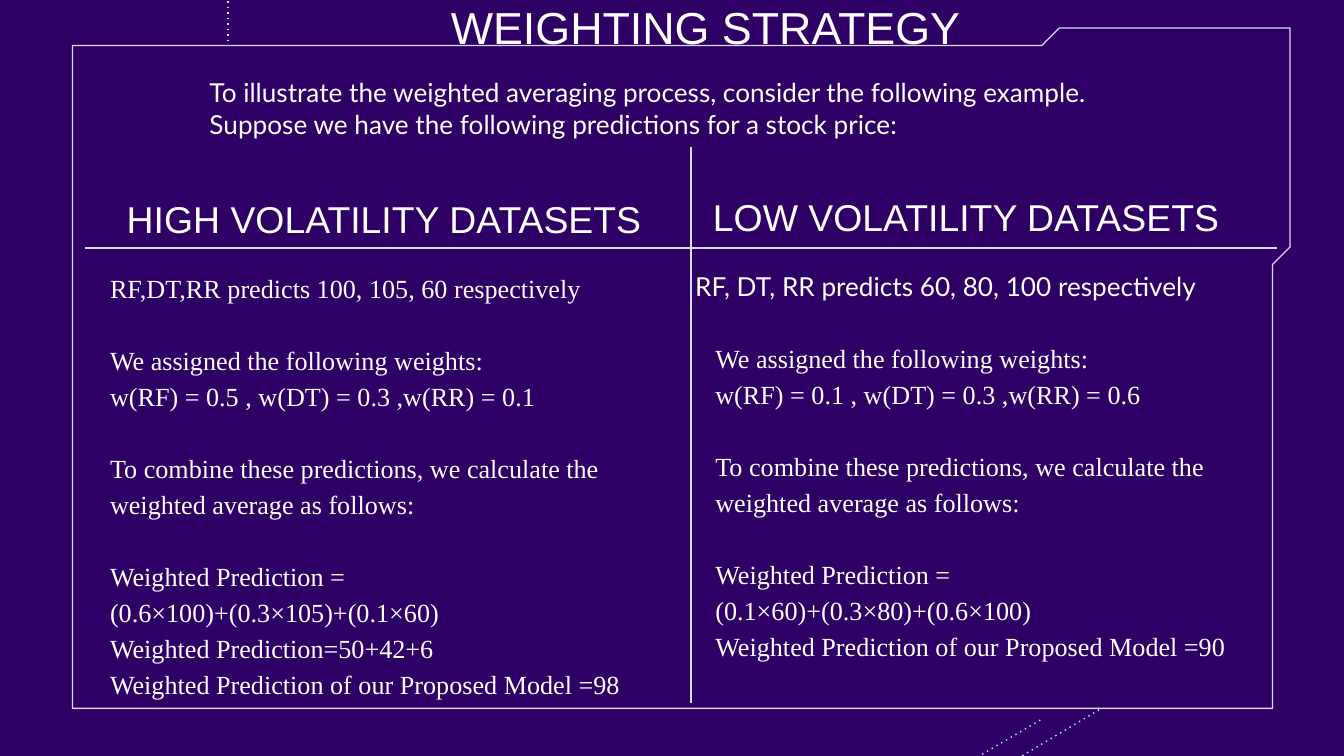
from lxml import etree
from pptx import Presentation
from pptx.dml.color import RGBColor
from pptx.enum.shapes import MSO_CONNECTOR
from pptx.enum.text import MSO_ANCHOR, PP_ALIGN
from pptx.oxml.ns import qn
from pptx.util import Cm, Pt

STRAIGHT = MSO_CONNECTOR.STRAIGHT
TOP, BOTTOM = MSO_ANCHOR.TOP, MSO_ANCHOR.BOTTOM
LEFT, CENTER = PP_ALIGN.LEFT, PP_ALIGN.CENTER

PURPLE, LILAC, WHITE = "2E0065", "DBDBF0", "FFFFFF"
SERIF, SANS, HEADING = "Times New Roman", "Lato", "Arial"
INDENT, GROUP_GAP, SPACING = 0.38, 19.3, 1.15

# All places are in centimetres: left, top, width, height.
TITLE = ("WEIGHTING STRATEGY ", (2.74, -0.41, 21.41, 1.6))
INTRO = ("To illustrate the weighted averaging process, consider the following example. "
         "Suppose we have the following predictions for a stock price:",
         (3.71, 1.32, 17.37, 1.45))
COMBINE = "To combine these predictions, we calculate the weighted average as follows:"
ASSIGNED = "We assigned the following weights:"

# The lines of a column come in groups with a gap of one line between them.
COLUMNS = [
    {
        "heading": "HIGH VOLATILITY DATASETS",
        "heading_box": (1.42, 3.2, 11.68, 1.6),
        "body_box": (1.45, 4.81, 11.6, 7.59),
        "lead_format": {"font": SERIF, "indent": INDENT},
        "groups": [
            ["RF,DT,RR predicts 100, 105, 60 respectively"],
            [ASSIGNED, "w(RF) = 0.5 , w(DT) = 0.3 ,w(RR) = 0.1"],
            [COMBINE],
            ["Weighted Prediction = (0.6×100)+(0.3×105)+(0.1×60)",
             "Weighted Prediction=50+42+6",
             "Weighted Prediction of our Proposed Model =98"],
        ],
    },
    {
        "heading": "LOW VOLATILITY DATASETS",
        "heading_box": (13.13, 3.75, 10.26, 1.02),
        "body_box": (12.89, 4.77, 11, 7.59),
        "lead_format": {"font": SANS, "indent": 0},
        "groups": [
            ["RF, DT, RR predicts 60, 80, 100 respectively"],
            [ASSIGNED, "w(RF) = 0.1 , w(DT) = 0.3 ,w(RR) = 0.6"],
            [COMBINE],
            ["Weighted Prediction = (0.1×60)+(0.3×80)+(0.6×100)",
             "Weighted Prediction of our Proposed Model =90"],
        ],
    },
]

FRAME = [(20.02, 0.53), (19.69, 0.86), (1.37, 0.86), (1.37, 13.39),
         (24.05, 13.39), (24.05, 5), (24.38, 4.67), (24.38, 0.53)]
DOTTED_LINES = [(4.31, -1.85, 4.31, 2.67), (19.66, 13.61, 17.93, 14.63),
                (22.02, 12.67, 18.14, 14.99)]
DIVIDERS = [(13.06, 2.77, 13.06, 13.28), (24.13, 4.69, 1.6, 4.69)]


def rgb(color):
    return RGBColor.from_string(color)


def style_line(line):
    line.color.rgb = rgb(LILAC)
    line.width = Pt(0.75)


def add_line(slide, ends, dotted=False):
    connector = slide.shapes.add_connector(STRAIGHT, *map(Cm, ends))
    style_line(connector.line)
    properties = connector._element.spPr
    if dotted:
        etree.SubElement(properties.find(qn("a:ln")), qn("a:prstDash"), val="dot")
    etree.SubElement(properties, qn("a:effectLst"))


def prepare_frame(shape, anchor=TOP, inset=0.25):
    """Set wrapping, anchor and vertical insets; return the text frame."""
    frame = shape.text_frame
    frame.word_wrap = True
    frame.vertical_anchor = anchor
    frame.margin_left = frame.margin_right = Cm(0.25)
    frame.margin_top = frame.margin_bottom = Cm(inset)
    return frame


def add_box(slide, box, **options):
    return prepare_frame(slide.shapes.add_textbox(*map(Cm, box)), **options)


def write(paragraph, text, size=14, font=SERIF, align=LEFT, indent=0, before=0,
          spacing=SPACING):
    paragraph.alignment = align
    paragraph.line_spacing = spacing
    paragraph.space_before = Pt(before)
    if indent:
        paragraph._p.get_or_add_pPr().set("marL", str(Cm(indent)))
    run = paragraph.add_run()
    run.text = text
    run.font.size = Pt(size)
    run.font.name = font
    run.font.color.rgb = rgb(WHITE)


def add_column(slide, column):
    heading = add_box(slide, column["heading_box"], anchor=BOTTOM)
    write(heading.paragraphs[0], column["heading"], size=20, font=HEADING, align=CENTER)

    body = add_box(slide, column["body_box"])
    lead, *groups = column["groups"]
    write(body.paragraphs[0], lead[0], **column["lead_format"])
    for group in groups:
        for position, text in enumerate(group):
            write(body.add_paragraph(), text, indent=INDENT,
                  before=0 if position else GROUP_GAP)


def add_frame(slide):
    corners = [(Cm(x), Cm(y)) for x, y in FRAME]
    builder = slide.shapes.build_freeform(*corners[0])
    builder.add_line_segments(corners[1:], close=True)
    outline = builder.convert_to_shape()
    outline.shadow.inherit = False
    outline.fill.solid()
    outline.fill.fore_color.rgb = rgb(PURPLE)
    style_line(outline.line)


def place_title(slide):
    text, box = TITLE
    title = slide.shapes.title
    title.left, title.top, title.width, title.height = map(Cm, box)
    write(prepare_frame(title).paragraphs[0], text, size=24, font=HEADING, align=CENTER)
    slide.shapes._spTree.append(title._element)  # in front of the frame


def main():
    deck = Presentation()
    deck.slide_width, deck.slide_height = Cm(25.4), Cm(14.29)
    slide = deck.slides.add_slide(deck.slide_layouts[5])
    slide.background.fill.solid()
    slide.background.fill.fore_color.rgb = rgb(PURPLE)

    for ends in DOTTED_LINES:
        add_line(slide, ends, dotted=True)
    add_frame(slide)
    place_title(slide)
    for column in COLUMNS:
        add_column(slide, column)
    text, box = INTRO
    write(add_box(slide, box, inset=0.13).paragraphs[0], text, font=SANS, spacing=1)
    for ends in DIVIDERS:
        add_line(slide, ends)

    deck.save("out.pptx")


if __name__ == "__main__":
    main()
